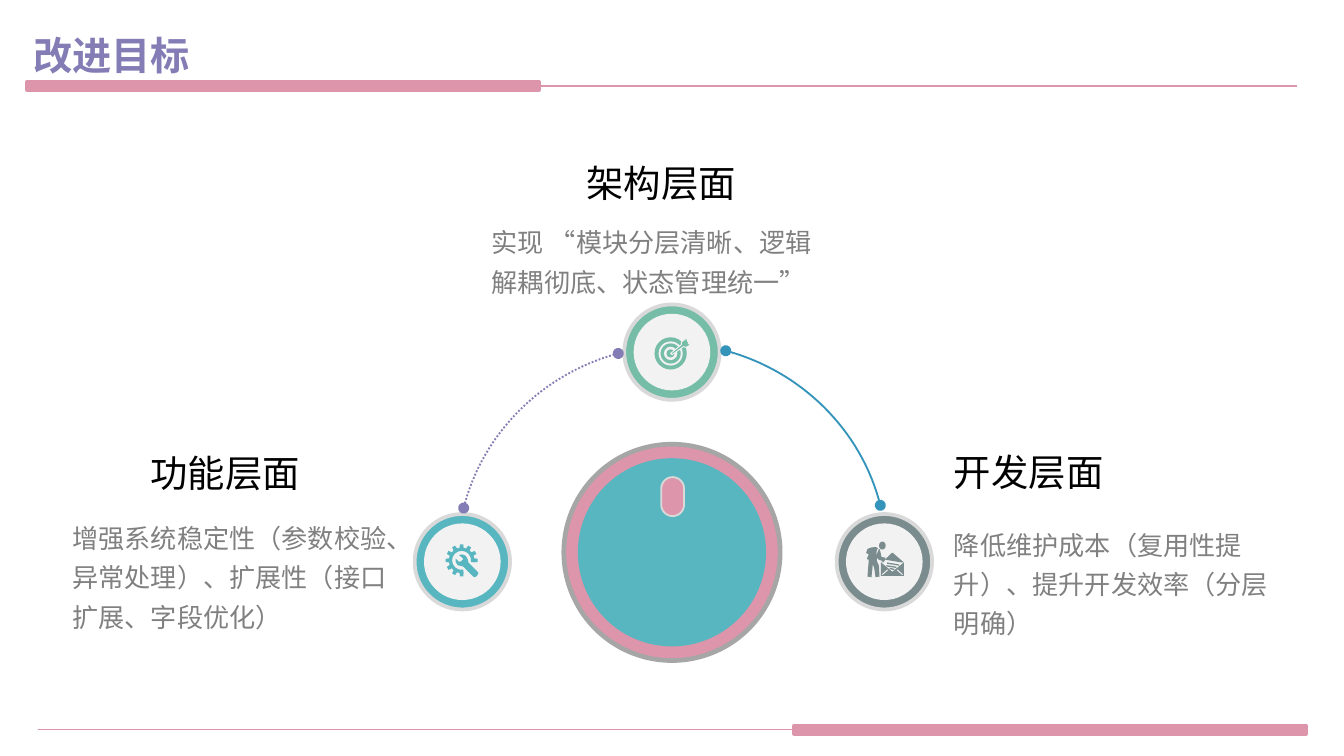
import math
from dataclasses import dataclass

import lxml.etree
import pptx
import pptx.dml.color
import pptx.enum.dml
import pptx.enum.shapes
import pptx.enum.text
import pptx.oxml.ns
import pptx.util

Inches = pptx.util.Inches
SHAPE = pptx.enum.shapes.MSO_SHAPE
ALIGN = pptx.enum.text.PP_ALIGN


@dataclass(frozen=True)
class Theme:
    """Colours, fonts and type sizes of the slide."""
    purple: str = "847DB5"
    pink: str = "DC95AA"
    teal: str = "58B6C0"
    green: str = "75BDA7"
    slate: str = "7A8C8E"
    blue: str = "3494BA"
    pale: str = "F2F2F2"
    rim: str = "D9D9D9"
    dark_rim: str = "A6A6A6"
    body: str = "808080"
    black: str = "000000"
    cjk: str = "Noto Sans CJK SC"
    latin: str = "Inter"
    title_size: int = 21
    heading_size: int = 20
    body_size: int = 14


THEME = Theme()


def rgb(value):
    """Turn a hex string into a colour."""
    return pptx.dml.color.RGBColor.from_string(value)


def paint(shape, fill=None, line=None, weight=1):
    """Set the fill and outline of a shape and drop its shadow."""
    shape.shadow.inherit = False
    if fill:
        shape.fill.solid()
        shape.fill.fore_color.rgb = rgb(fill)
    else:
        shape.fill.background()
    if line:
        shape.line.color.rgb = rgb(line)
        shape.line.width = pptx.util.Pt(weight)
    else:
        shape.line.fill.background()
    return shape


def add_preset(slide, kind, box, fill, line=None, weight=1):
    """Add a painted preset shape in a box of inches."""
    shape = slide.shapes.add_shape(kind, *map(Inches, box))
    return paint(shape, fill, line, weight)


def add_disc(slide, center, radius, fill, line=None, weight=1):
    """Add a fully rounded square around a center."""
    box = (center[0] - radius, center[1] - radius, 2 * radius, 2 * radius)
    return add_preset(slide, SHAPE.OVAL, box, fill, line, weight)


def add_outline(slide, left, top, points, closed=True, unit=0.01):
    """Build a freeform from points counted in units from a corner."""
    placed = [(Inches(left + x * unit), Inches(top + y * unit)) for x, y in points]
    builder = slide.shapes.build_freeform(*placed[0], scale=1.0)
    builder.add_line_segments(placed[1:], close=closed)
    return builder.convert_to_shape()


def add_text(slide, box, text, size, color, font, align=ALIGN.LEFT, spacing=None, bold=False, wrap=True):
    """Add a one-paragraph text box."""
    frame = slide.shapes.add_textbox(*map(Inches, box)).text_frame
    frame.word_wrap = wrap
    frame.auto_size = pptx.enum.text.MSO_AUTO_SIZE.SHAPE_TO_FIT_TEXT
    paragraph = frame.paragraphs[0]
    paragraph.alignment = align
    if spacing:
        paragraph.line_spacing = spacing
    run = paragraph.add_run()
    run.text = text
    run.font.size = pptx.util.Pt(size)
    run.font.bold = bold
    run.font.color.rgb = rgb(color)
    run.font.name = font
    east_asian = lxml.etree.SubElement(run.font._element, pptx.oxml.ns.qn("a:ea"))
    east_asian.set("typeface", THEME.cjk)


def add_rule(slide, left, right, y, bar_left):
    """Draw a thin rule with a thick bar on part of it."""
    ends = map(Inches, (left, y, right, y))
    rule = slide.shapes.add_connector(pptx.enum.shapes.MSO_CONNECTOR.STRAIGHT, *ends)
    rule.line.color.rgb = rgb(THEME.pink)
    rule.line.width = pptx.util.Pt(0.75)
    lxml.etree.SubElement(rule._element.spPr, pptx.oxml.ns.qn("a:effectLst"))
    add_preset(slide, SHAPE.RECTANGLE, (bar_left, y - 0.03, 3.81, 0.06), THEME.pink, THEME.pink, 2)


def add_arc(slide, left, top, color, mirrored=False, dash=None):
    """Draw a quarter arc with a dot at each end."""
    controls = [(0, 1.15), (0.14, 0.59), (0.59, 0.15), (1.15, 0)]
    points = []
    for step in range(33):
        t = step / 32
        weights = [math.comb(3, k) * t ** k * (1 - t) ** (3 - k) for k in range(4)]
        x, y = (sum(w * c[axis] for w, c in zip(weights, controls)) for axis in (0, 1))
        points.append((1.15 - x if mirrored else x, y))
    arc = paint(add_outline(slide, left, top, points, False, 1), None, color, 1)
    if dash:
        arc.line.dash_style = dash
    for tag in ("a:headEnd", "a:tailEnd"):
        lxml.etree.SubElement(arc.line._ln, pptx.oxml.ns.qn(tag)).set("type", "oval")


def add_badge(slide, center, color, draw_icon):
    """Draw a rimmed badge with an icon inside."""
    for radius, fill, line in ((0.355, color, THEME.rim), (0.285, THEME.pale, None)):
        box = (center[0] - radius, center[1] - radius, 2 * radius, 2 * radius)
        disc = add_preset(slide, SHAPE.ROUNDED_RECTANGLE, box, fill, line, 2)
        disc.adjustments[0] = 0.5
    draw_icon(slide, center[0], center[1], color)


def draw_target(slide, x, y, color):
    """Draw a target with a dart."""
    middle = (x - 0.01, y + 0.01)
    for radius, fill in ((0.12, color), (0.09, THEME.pale), (0.075, color), (0.05, THEME.pale), (0.03, color)):
        add_disc(slide, middle, radius, fill)
    dart = [(-1, 1), (7, -5.5), (7, -7.5), (11, -10.5), (11.5, -8), (13, -7.5),
            (12, -6.5), (14, -5.5), (10.5, -3.5), (8.5, -4), (0, 2)]
    paint(add_outline(slide, x, y, dart), color, THEME.pale, 0.5)


def draw_gear(slide, x, y, color):
    """Draw an open gear with a wrench."""
    def polar(radius, degrees):
        angle = math.radians(degrees)
        return radius * math.cos(angle) - 0.5, radius * math.sin(angle) - 1

    outer = [polar(radius, tooth * 30 + offset) for tooth in range(3, 13)
             for radius, offset in ((9.5, -9), (12, -6), (12, 6), (9.5, 9))]
    inner = [polar(7, degrees) for degrees in range(370, 74, -10)]
    paint(add_outline(slide, x, y, outer + inner), color)
    wrench = [(12, 8.5), (11, 7), (4.5, 0.5), (4, -2), (2.5, -4.5), (0, -5.5), (-2.5, -5),
              (0.5, -2.5), (0.5, -1.5), (-1.5, 0), (-2.5, 0), (-5, -2.5), (-5, 0),
              (-3.5, 2.5), (0.5, 3.5), (8, 11), (9.5, 11.5), (11, 10.5)]
    paint(add_outline(slide, x, y, wrench), color)


def draw_postman(slide, x, y, color):
    """Draw a standing figure with an open envelope."""
    add_preset(slide, SHAPE.OVAL, (x - 0.04, y - 0.15, 0.05, 0.06), color)
    figure = [(-12.5, -9.5), (-10, -10.5), (-6.5, -11), (-4.5, -10), (-5.5, -9), (-6, -4.5),
              (-4, -9.5), (-3, -9), (-4.5, -5.5), (-3, -8), (-2, -3.5), (1, -3), (0, 0),
              (-4, -1.5), (-5.5, -3), (-5.5, -0.5), (-4, 3), (-3.5, 11), (-6.5, 11.5),
              (-7.5, 4.5), (-8.5, 2), (-9.5, 11.5), (-12.5, 11), (-11.5, -1.5), (-13, -2),
              (-11.5, -5.5), (-13.5, -6.5)]
    flap = [(0, -1), (5.5, -6.5), (6.5, -6.5), (14.5, 0.5), (12.5, 0.5), (0.5, -1.5), (-1, 0.5), (-2.5, 0.5)]
    envelope = [(-2.5, 0.5), (6, 7.5), (14.5, 0.5), (14.5, 10.5), (-2.5, 10.5)]
    rows = [[(left, top), (left + width, top + rise), (left + width, top + rise + 1), (left, top + 1)]
            for left, top, width, rise in ((2, 0.5, 9, 1.5), (1.5, 2.5, 7.5, 1.2), (4, 4.5, 3.5, 0.8))]
    for points in (figure, flap, envelope, *rows):
        paint(add_outline(slide, x, y, points), color)
    for start, end in (((9.5, 6), (13.5, 9.5)), ((2.5, 6), (-1.5, 9.5))):
        paint(add_outline(slide, x, y, [start, end], False), None, THEME.pale, 0.5)


def add_knob(slide, center):
    """Draw the large central knob with its marker."""
    x, y = center
    add_disc(slide, center, 0.805, THEME.pink, THEME.dark_rim, 2.5)
    add_disc(slide, center, 0.7, THEME.teal)
    marker = add_preset(slide, SHAPE.ROUNDED_RECTANGLE, (x - 0.08, y - 0.56, 0.17, 0.29), THEME.pink, THEME.rim, 1)
    marker.adjustments[0] = 0.5


def add_goal(slide, heading_box, heading, align, body_box, body):
    """Write one goal as a heading and a description."""
    add_text(slide, heading_box, heading, THEME.heading_size, THEME.black, THEME.latin, align)
    add_text(slide, body_box, body, THEME.body_size, THEME.body, THEME.cjk, spacing=1.25)


def main():
    """Build the slide and save it."""
    presentation = pptx.Presentation()
    presentation.slide_width = Inches(10)
    presentation.slide_height = Inches(10 * 9 / 16)
    slide = presentation.slides.add_slide(presentation.slide_layouts[6])
    add_text(slide, (0.14, 0.18, 1.38, 0.45), "改进目标", THEME.title_size, THEME.purple, THEME.cjk,
             ALIGN.CENTER, bold=True, wrap=False)
    add_rule(slide, 0.2, 9.65, 0.64, 0.2)
    add_rule(slide, 0.28, 9.72, 5.43, 5.91)
    add_knob(slide, (5, 4.11))
    add_badge(slide, (3.44, 4.18), THEME.teal, draw_gear)
    add_badge(slide, (5, 2.62), THEME.green, draw_target)
    add_badge(slide, (6.58, 4.18), THEME.slate, draw_postman)
    add_arc(slide, 3.45, 2.63, THEME.purple, dash=pptx.enum.dml.MSO_LINE.ROUND_DOT)
    add_arc(slide, 5.4, 2.61, THEME.blue, mirrored=True)
    add_goal(slide, (7, 3.29, 2.27, 0.45), "开发层面", ALIGN.LEFT,
             (7, 3.83, 2.56, 0.98), "降低维护成本（复用性提升）、提升开发效率（分层明确）")
    add_goal(slide, (3.51, 1.14, 2.82, 0.44), "架构层面", ALIGN.CENTER,
             (3.56, 1.58, 2.71, 0.97), "实现 “模块分层清晰、逻辑解耦彻底、状态管理统一”")
    add_goal(slide, (0.7, 3.3, 1.63, 0.44), "功能层面", ALIGN.RIGHT,
             (0.44, 3.78, 2.69, 1.45), "增强系统稳定性（参数校验、异常处理）、扩展性（接口扩展、字段优化）")
    presentation.save("out.pptx")


if __name__ == "__main__":
    main()
